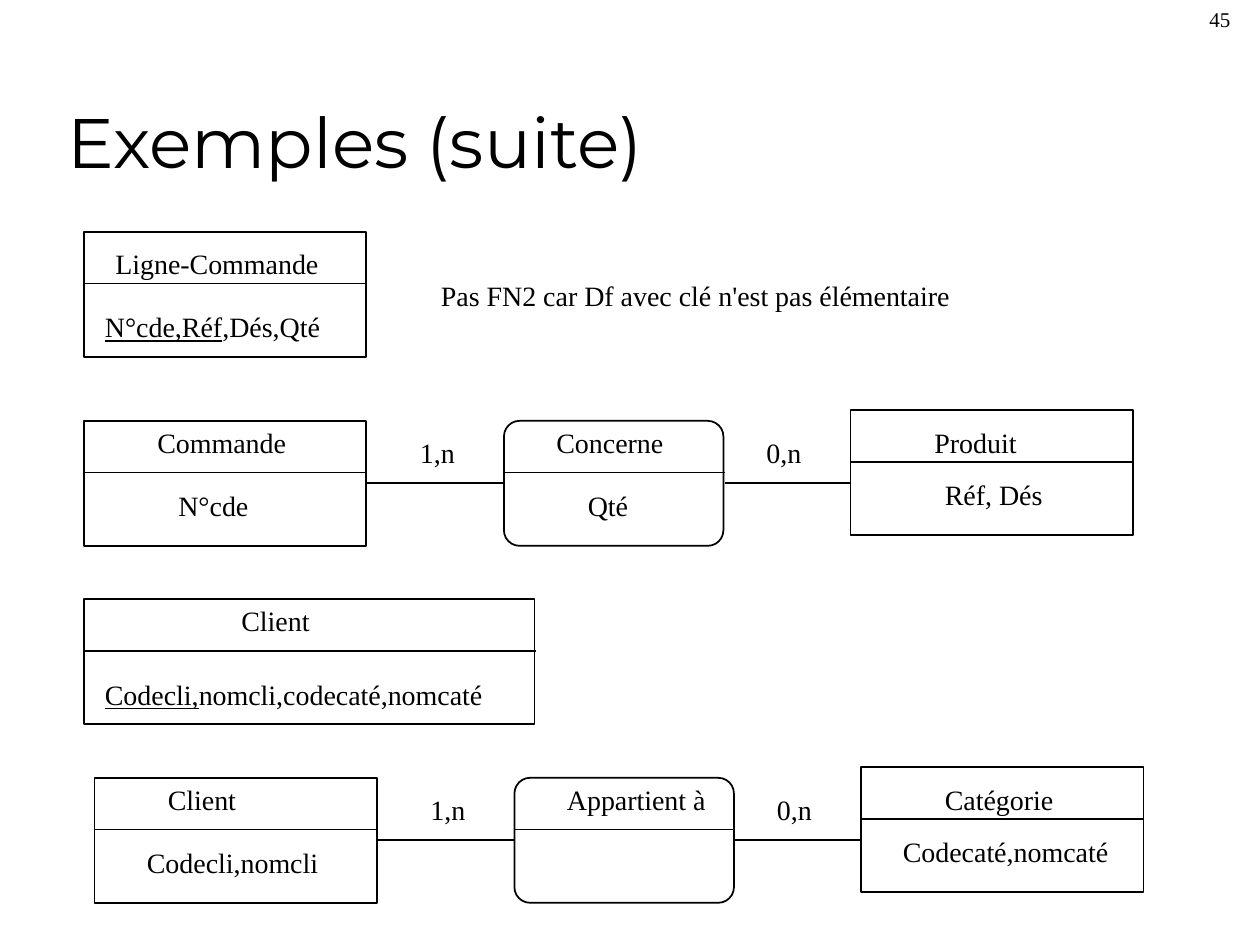
from lxml import etree
from pptx import Presentation, util as u
from pptx.dml.color import RGBColor
from pptx.enum import shapes, text
from pptx.oxml.ns import qn

BLACK = RGBColor(0, 0, 0)
SERIF, HEADING = "Times New Roman", "Montserrat"
SLIDE_W, SLIDE_H = u.Inches(10), u.Inches(7.5)
COLS, ROWS = 120, 90          # square grid over the whole slide
BOX_H, HEAD_H = 11.9, 5       # rows of a box and of its heading
ENTITY_W, LINK_W = 27, 21     # columns
LABEL_H = 4.44


def col(n):
    return round(SLIDE_W * n / COLS)


def row(n):
    return round(SLIDE_H * n / ROWS)


def add_text(slide, left, top, width, height, content, size=16, font=SERIF,
             underlined="", wrap=False, anchor=text.MSO_ANCHOR.TOP):
    """Place one line of text, led by its underlined key if it has one."""
    label = slide.shapes.add_textbox(col(left), row(top), col(width), row(height))
    frame = label.text_frame
    frame.word_wrap = wrap
    frame.vertical_anchor = anchor
    for part, is_key in ((underlined, True), (content, False)):
        if part:
            run = frame.paragraphs[0].add_run()
            run.text = part
            run.font.size, run.font.name = u.Pt(size), font
            run.font.color.rgb = BLACK
            if is_key:
                run.font.underline = True


def add_label(slide, left, top, width, content, **style):
    """Place a label whose box starts slightly before its grid point."""
    add_text(slide, left - 0.19, top - 0.07, width, LABEL_H, content, **style)


def add_rule(slide, left, right, level):
    rule = slide.shapes.add_connector(shapes.MSO_CONNECTOR.STRAIGHT,
                                      col(left), row(level), col(right), row(level))
    rule.line.color.rgb = BLACK
    rule.line.width = u.Pt(1)
    etree.SubElement(rule._element.spPr, qn("a:effectLst"))


def add_box(slide, left, top, width, labels, rounded=False):
    """Draw a two-part box; labels are (column, row, width, text, style)."""
    preset = shapes.MSO_SHAPE.ROUNDED_RECTANGLE if rounded else shapes.MSO_SHAPE.RECTANGLE
    outline = slide.shapes.add_shape(preset, col(left), row(top + 0.08),
                                     col(width - 0.1), row(BOX_H))
    if rounded:
        outline.adjustments[0] = 0.125
    outline.shadow.inherit = False
    outline.fill.background()
    outline.line.color.rgb = BLACK
    outline.line.width = u.Pt(1)
    add_rule(slide, left, left + width, top + HEAD_H)
    for across, down, label_w, content, style in labels:
        add_label(slide, left + across, top + down, label_w, content, **style)


def add_association(slide, left, top, source, link, target):
    """Draw entity - association - entity with their cardinalities."""
    link_left, target_left = left + 40, left + 73
    add_box(slide, left, top, ENTITY_W, source)
    add_box(slide, link_left, top, LINK_W, link, rounded=True)
    add_box(slide, target_left, top - 1, ENTITY_W, target)
    add_rule(slide, left + ENTITY_W, link_left, top + 6)
    add_rule(slide, link_left + LINK_W, target_left, top + 6)
    for across, cardinality in ((31, "1,n"), (64, "0,n")):
        add_label(slide, left + across, top + 1, 5.76, cardinality)


def add_header(slide, title, number):
    add_text(slide, 5.28, 3, 102, 15, title, size=40, font=HEADING,
             wrap=True, anchor=text.MSO_ANCHOR.BOTTOM)
    add_text(slide, 114, 0, 6, 3.6, number, size=12, wrap=True)


def main():
    deck = Presentation()
    deck.slide_width, deck.slide_height = SLIDE_W, SLIDE_H
    slide = deck.slides.add_slide(deck.slide_layouts[6])

    add_header(slide, "Exemples (suite)", "45")
    add_box(slide, 8, 22, ENTITY_W, [
        (2, 1, 21.8, "Ligne-Commande", {}),
        (1, 7, 22.9, ",Dés,Qté", {"underlined": "N°cde,Réf"})])
    add_label(slide, 41, 26, 51, "Pas FN2 car Df avec clé n'est pas élémentaire")
    add_association(
        slide, 8, 40,
        source=[(6, 0, 14.8, "Commande", {}), (8, 6, 9.1, "N°cde", {})],
        link=[(4, 0, 12.6, "Concerne", {}), (7, 6, 6.2, "Qté", {})],
        target=[(7, 1, 10.3, "Produit", {}), (8, 6, 11.8, "Réf, Dés", {})])
    add_box(slide, 8, 57, 43, [
        (14, 0, 14.3, "Client", {"wrap": True}),
        (1, 7, 61.3, "nomcli,codecaté,nomcaté",
         {"underlined": "Codecli,", "wrap": True})])
    add_association(
        slide, 9, 74,
        source=[(6, 0, 8.9, "Client", {}), (4, 6, 18.8, "Codecli,nomcli", {})],
        link=[(4, 0, 15.7, "Appartient à", {})],
        target=[(7, 1, 12.8, "Catégorie", {}), (3, 6, 22.1, "Codecaté,nomcaté", {})])

    deck.save("out.pptx")


if __name__ == "__main__":
    main()
